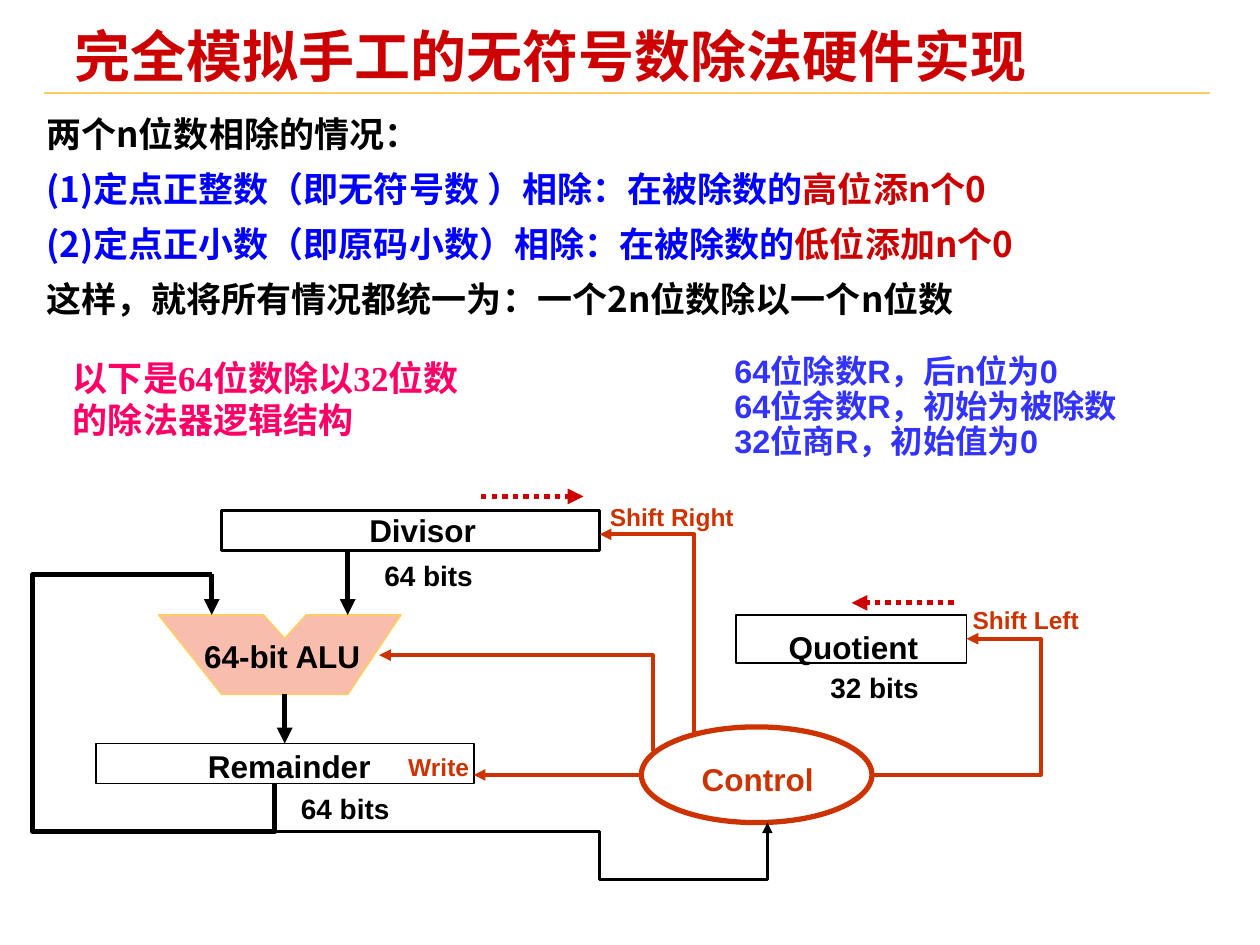
from lxml import etree
from pptx import Presentation
from pptx.dml.color import RGBColor
from pptx.enum.dml import MSO_LINE
from pptx.enum.shapes import MSO_CONNECTOR as Link, MSO_SHAPE as Kind
from pptx.enum.text import MSO_ANCHOR as Anchor, PP_ALIGN as Align
from pptx.oxml.ns import qn
from pptx.util import Pt

BLACK, RED, RUST, BLUE = "000000", "CC0000", "CC3300", "0000FF"
GOLD, CJK = "FFCC66", "Noto Sans CJK SC"


def color(code):
    return RGBColor.from_string(code)


def add_run(par, text, size, hue, face="Arial"):
    run = par.add_run()
    run.text = text
    font = run.font
    font.size, font.bold, font.name = Pt(size), True, face
    font.color.rgb = color(hue)
    east = etree.SubElement(run._r.get_or_add_rPr(), qn("a:ea"))
    east.set("typeface", CJK)


def set_frame(frame, pad_x=0, pad_y=0, anchor=Anchor.TOP):
    frame.word_wrap = True
    frame.margin_left = frame.margin_right = Pt(pad_x)
    frame.margin_top = frame.margin_bottom = Pt(pad_y)
    frame.vertical_anchor = anchor


def add_text(slide, box, lines, size, face="Arial", pad=(0, 0),
             anchor=Anchor.TOP, gap=0, pitch=None):
    """Add a text box; each line is a list of (text, colour) runs."""
    frame = slide.shapes.add_textbox(*map(Pt, box)).text_frame
    set_frame(frame, *pad, anchor)
    for i, line in enumerate(lines):
        par = frame.paragraphs[0] if i == 0 else frame.add_paragraph()
        par.space_before = Pt(gap if i else 0)
        if pitch:
            par.line_spacing = pitch
        for text, hue in line:
            add_run(par, text, size, hue, face)


def set_line(shape, hue, width, arrow=False):
    shape.line.color.rgb = color(hue)
    shape.line.width = Pt(width)
    if arrow:
        tail = etree.SubElement(shape.line._get_or_add_ln(), qn("a:tailEnd"))
        tail.set("type", "triangle")


def add_link(slide, start, end, hue, width, arrow=True, dotted=False):
    link = slide.shapes.add_connector(Link.STRAIGHT, *map(Pt, start + end))
    etree.SubElement(link._element.spPr, qn("a:effectLst"))
    link.line.color.rgb = color(hue)
    if dotted:
        link.line.dash_style = MSO_LINE.ROUND_DOT
    set_line(link, hue, width, arrow)
    # The effect list has to follow the line in the schema order.
    props = link._element.spPr
    props.append(props.find(qn("a:effectLst")))
    return link


def add_path(slide, origin, points, hue, width, arrow=False, fill=None):
    """Draw a polyline, closed and filled when a fill is given."""
    left, top = origin
    spots = [(Pt(left + x), Pt(top + y)) for x, y in points]
    pen = slide.shapes.build_freeform(*spots[0])
    pen.add_line_segments(spots[1:], close=bool(fill))
    shape = pen.convert_to_shape()
    shape.shadow.inherit = False
    if fill:
        shape.fill.solid()
        shape.fill.fore_color.rgb = color(fill)
    else:
        shape.fill.background()
    set_line(shape, hue, width, arrow)


def add_title(slide, box):
    left, top, width, height = box
    title = slide.shapes.title
    title.left, title.top, title.width, title.height = map(Pt, box)
    set_frame(title.text_frame, 5, 2, Anchor.MIDDLE)
    par = title.text_frame.paragraphs[0]
    par.alignment, par.line_spacing = Align.LEFT, 0.87
    add_run(par, "完全模拟手工的无符号数除法硬件实现", 32, RED)
    rule = top + height
    add_link(slide, (left - 12.2, rule), (left + 653.8, rule), GOLD, 1, False)


def add_cases(slide, box):
    lines = [
        [("两个n位数相除的情况：", BLACK)],
        [("(1)定点正整数（即无符号数 ）相除：在被除数的", BLUE),
         ("高位添n个0", RED)],
        [("(2)定点正小数（即原码小数）相除：在被除数的", BLUE),
         ("低位添加n个0", RED)],
        [("这样，就将所有情况都统一为：一个2n位数除以一个n位数", BLACK)],
    ]
    add_text(slide, box, lines, 20, CJK, (7.2, 3.6), Anchor.MIDDLE, 7.5)


def add_notes(slide, left_box, right_box):
    """Place the caption and the list of registers side by side."""
    add_text(slide, left_box,
             [[("以下是64位数除以32位数的除法器逻辑结构", "FF0066")]],
             20, "Times New Roman", (7.2, 3.6))
    rows = ("64位除数R，后n位为0", "64位余数R，初始为被除数",
            "32位商R，初始值为0")
    add_text(slide, right_box, [[(row, "3333FF")] for row in rows],
             18.5, pad=(5, 2), pitch=0.9)


def add_divider(slide, left, top):
    """Draw the divider circuit from its top left corner."""
    origin = left, top

    def at(x, y):
        return left + x, top + y

    add_path(slide, origin,
             [(72.7, 71.4), (108.7, 116.7), (180.7, 116.7), (211, 71.4),
              (157, 71.4), (144.7, 85), (132.5, 71.4)],
             GOLD, 1, fill="F9BDAD")

    parts = {}
    for name, kind, x, y, width, height, hue, weight in (
            ("Divisor", Kind.RECTANGLE, 108.7, 11.6, 216, 23, BLACK, 1.5),
            ("Quotient", Kind.RECTANGLE, 402.5, 71.4, 131.8, 27.4, BLACK, 1),
            ("Remainder", Kind.RECTANGLE, 36.7, 144.8, 216, 23, BLACK, 1),
            ("Control", Kind.OVAL, 348.5, 135.4, 131.8, 54.7, RUST, 3)):
        part = slide.shapes.add_shape(
            kind, *map(Pt, at(x, y) + (width, height)))
        part.shadow.inherit = False
        part.fill.background()
        set_line(part, hue, weight)
        parts[name] = part

    for text, x, y, width, size, hue in (
            ("Remainder", 100.8, 147, 100, 18, BLACK),
            ("Quotient", 432.7, 78.6, 84, 18, BLACK),
            ("Divisor", 193, 12.3, 70, 18, BLACK),
            ("64-bit ALU", 98.6, 84.3, 109, 18, BLACK),
            ("Shift Right", 330.5, 6.6, 80, 14, RUST),
            ("Shift Left", 537.8, 65.6, 70, 14, RUST),
            ("Write", 215.3, 149.8, 42, 14, RUST),
            ("Control", 383, 154.2, 70, 18, RUST),
            ("32 bits", 456.5, 103, 64, 16, BLACK),
            ("64 bits", 201.6, 39, 64, 16, BLACK),
            ("64 bits", 154, 172.2, 64, 16, BLACK)):
        add_text(slide, at(x, y) + (width, size * 1.2), [[(text, hue)]], size)

    for points, hue, weight, arrow in (
            ([(103, 48.3), (0.7, 48.3), (0.7, 195.2), (139, 195.2),
              (139, 167.8)], BLACK, 3, False),
            ([(480.3, 162.8), (576.7, 162.8), (576.7, 85), (534.3, 85)],
             RUST, 2.25, True),
            ([(378.7, 139.8), (378.7, 25.3), (324.7, 25.3)],
             RUST, 2.25, True),
            ([(355, 149.1), (355, 94.4), (198.7, 94.4)], RUST, 2.25, True),
            ([(139, 195.2), (324.7, 195.2), (324.7, 222.6), (420.5, 222.6),
              (420.5, 190.1)], BLACK, 1.5, True)):
        add_path(slide, origin, points, hue, weight, arrow)

    add_link(slide, at(180.7, 34.6), at(180.7, 71.4), BLACK, 3)
    add_link(slide, at(103, 48.3), at(103, 71.4), BLACK, 3)
    add_link(slide, at(348.5, 162.8), at(252.7, 162.8), RUST, 2.25)
    result = add_link(slide, at(144.7, 116.7), at(144.7, 144.8), BLACK, 3)
    result.end_connect(parts["Remainder"], 0)
    add_link(slide, at(257, 3.7), at(315.4, 3.7), RED, 3, dotted=True)
    add_link(slide, at(527, 64.5), at(468.7, 64.5), RED, 3, dotted=True)


def main():
    deck = Presentation()
    deck.slide_width, deck.slide_height = Pt(720), Pt(540)
    slide = deck.slides.add_slide(deck.slide_layouts[5])
    add_title(slide, (37.4, 15.8, 640, 37.5))
    add_cases(slide, (19.4, 60.5, 677.5, 126))
    add_notes(slide, (34.6, 200.2, 249, 55.4), (414.7, 200.9, 286.6, 76.3))
    add_divider(slide, 18, 280)
    deck.save("out.pptx")


if __name__ == "__main__":
    main()
